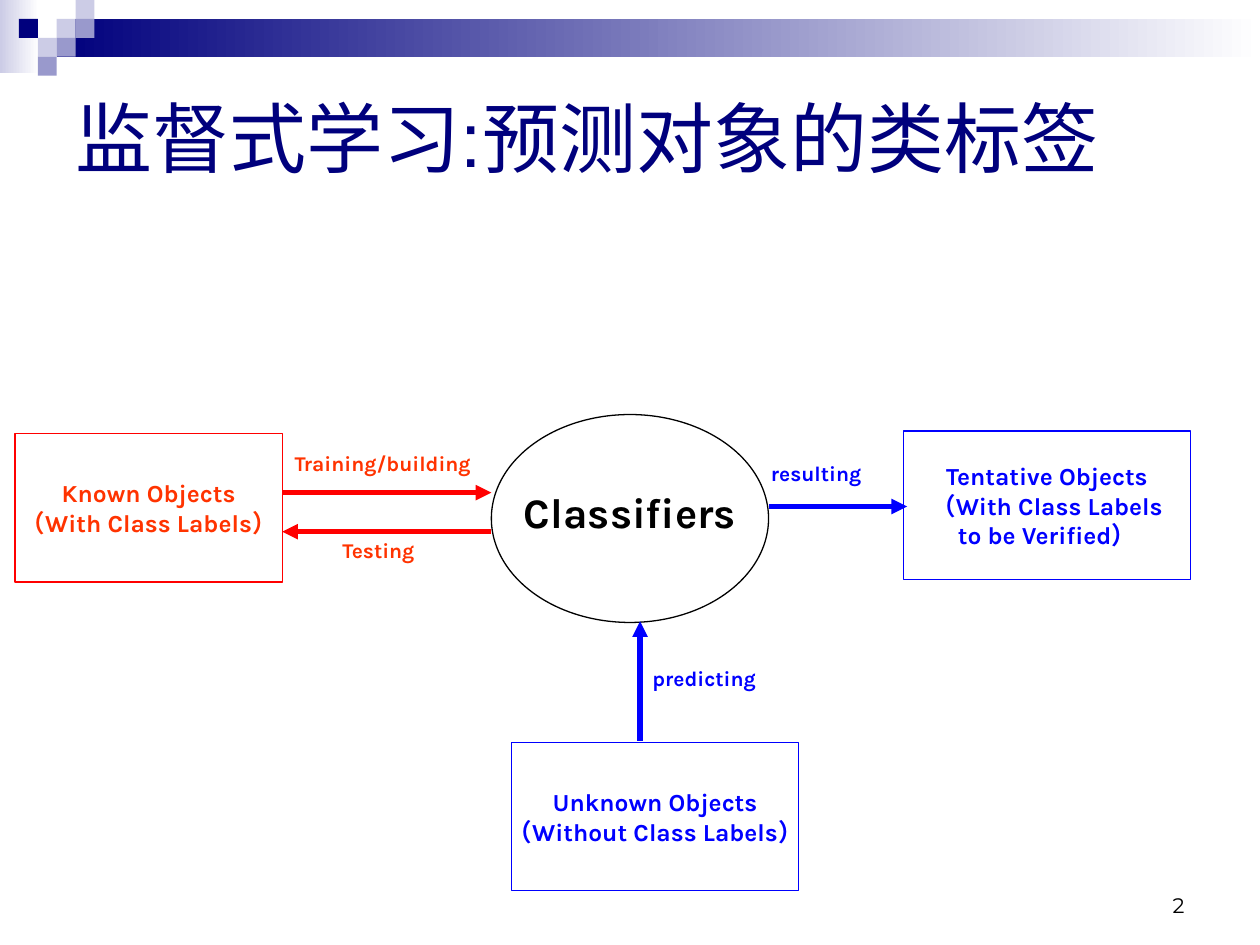
from typing import NamedTuple

from lxml.etree import SubElement
from pptx import Presentation
from pptx.dml.color import RGBColor
from pptx.enum.shapes import MSO_CONNECTOR, MSO_SHAPE
from pptx.enum.text import MSO_ANCHOR, PP_ALIGN
from pptx.oxml.ns import qn
from pptx.util import Inches, Pt

NAVY = RGBColor(0x00, 0x00, 0x7D)
PERIWINKLE = RGBColor(0x99, 0x99, 0xCC)
LAVENDER = RGBColor(0xCC, 0xCC, 0xE6)
WHITE = RGBColor(0xFF, 0xFF, 0xFF)
BLACK = RGBColor(0x00, 0x00, 0x00)
RED = RGBColor(0xFF, 0x00, 0x00)
ORANGE = RGBColor(0xFF, 0x33, 0x00)
BLUE = RGBColor(0x00, 0x00, 0xFF)

TILE = 0.15


class Area(NamedTuple):
    left: float
    top: float
    width: float
    height: float


class Style(NamedTuple):
    size: float
    color: RGBColor
    font: str = "Karla"
    bold: bool = True


class Node(NamedTuple):
    area: Area
    lines: list[str]
    outline: RGBColor
    color: RGBColor


class Label(NamedTuple):
    area: Area
    text: str
    style: Style


class Arrow(NamedTuple):
    start: tuple[float, float]
    end: tuple[float, float]
    color: RGBColor


BANDS = [
    (Area(0, 0, 0.31, 0.58), LAVENDER),
    (Area(0.45, 0.15, 9.55, 0.3), NAVY),
]
# Column and row of each tile in the corner mosaic
TILES = [
    (3, 1, LAVENDER), (4, 0, LAVENDER), (4, 1, PERIWINKLE), (2, 2, LAVENDER),
    (1, 1, NAVY), (3, 2, PERIWINKLE), (2, 3, PERIWINKLE),
]
NODES = [
    Node(Area(0.12, 3.44, 2.12, 1.18),
         ["Known Objects", "（With Class Labels）"], RED, ORANGE),
    Node(Area(4.06, 5.89, 2.28, 1.18),
         ["Unknown Objects", "（Without Class Labels）"], BLUE, BLUE),
    Node(Area(7.17, 3.42, 2.28, 1.18),
         ["Tentative Objects", "（With Class Labels", "to be Verified）"], BLUE, BLUE),
]
ARROWS = [
    Arrow((2.24, 3.91), (3.9, 3.91), RED),
    Arrow((3.9, 4.22), (2.24, 4.22), RED),
    Arrow((5.08, 5.88), (5.08, 4.93), BLUE),
    Arrow((6.1, 4.02), (7.2, 4.02), BLUE),
]
LABELS = [
    Label(Area(4.06, 3.81, 1.89, 0.5), "Classifiers", Style(24, BLACK)),
    Label(Area(2.24, 3.53, 1.6, 0.3), "Training/building", Style(12, ORANGE)),
    Label(Area(2.62, 4.22, 0.8, 0.3), "Testing", Style(12, ORANGE)),
    Label(Area(6.02, 3.61, 0.95, 0.3), "resulting", Style(12, BLUE)),
    Label(Area(5.08, 5.23, 1.06, 0.3), "predicting", Style(12, BLUE)),
]


def inches(area: Area) -> list[Inches]:
    return [Inches(value) for value in area]


def write(frame, lines: list[str], style: Style, align=PP_ALIGN.LEFT,
          anchor=MSO_ANCHOR.TOP, wrap: bool = False) -> None:
    frame.word_wrap = wrap
    frame.vertical_anchor = anchor
    for index, line in enumerate(lines):
        para = frame.add_paragraph() if index else frame.paragraphs[0]
        para.alignment = align
        span = para.add_run()
        span.text = line
        span.font.size = Pt(style.size)
        span.font.bold = style.bold
        span.font.name = style.font
        span.font.color.rgb = style.color


def add_text(page, area: Area, text: str, style: Style, **layout) -> None:
    box = page.shapes.add_textbox(*inches(area))
    write(box.text_frame, [text], style, **layout)


def add_plain(page, kind, area: Area):
    """Add a preset shape without shadow, fill or line."""
    shape = page.shapes.add_shape(kind, *inches(area))
    shape.shadow.inherit = False
    shape.fill.background()
    shape.line.fill.background()
    return shape


def add_band(page, area: Area, color: RGBColor) -> None:
    """Add a strip that fades to white from left to right."""
    band = add_plain(page, MSO_SHAPE.RECTANGLE, area)
    band.fill.gradient()
    band.fill.gradient_angle = 0
    for stop, shade in zip(band.fill.gradient_stops, (color, WHITE)):
        stop.color.rgb = shade


def add_tile(page, column: int, row: int, color: RGBColor) -> None:
    area = Area(column * TILE, row * TILE, TILE, TILE)
    tile = add_plain(page, MSO_SHAPE.RECTANGLE, area)
    tile.fill.solid()
    tile.fill.fore_color.rgb = color


def add_outline(page, kind, area: Area, color: RGBColor):
    shape = add_plain(page, kind, area)
    shape.line.color.rgb = color
    shape.line.width = Pt(0.75)
    return shape


def add_node(page, node: Node) -> None:
    box = add_outline(page, MSO_SHAPE.RECTANGLE, node.area, node.outline)
    write(box.text_frame, node.lines, Style(14, node.color),
          align=PP_ALIGN.CENTER, anchor=MSO_ANCHOR.MIDDLE)


def add_arrow(page, arrow: Arrow) -> None:
    ends = [Inches(value) for value in (*arrow.start, *arrow.end)]
    connector = page.shapes.add_connector(MSO_CONNECTOR.STRAIGHT, *ends)
    connector.line.color.rgb = arrow.color
    connector.line.width = Pt(3)
    SubElement(connector.line._get_or_add_ln(), qn("a:tailEnd"), type="triangle")
    SubElement(connector._element.spPr, qn("a:effectLst"))


def main() -> None:
    deck = Presentation()
    deck.slide_width, deck.slide_height = Inches(10), Inches(7.5)
    page = deck.slides.add_slide(deck.slide_layouts[6])

    for area, color in BANDS:
        add_band(page, area, color)
    for column, row, color in TILES:
        add_tile(page, column, row, color)

    add_text(page, Area(0.5, 0.5, 9, 1.17), "监督式学习:预测对象的类标签",
             Style(44, NAVY, "Arial", False), anchor=MSO_ANCHOR.MIDDLE, wrap=True)
    add_text(page, Area(7.17, 6.83, 2.33, 0.5), "2",
             Style(12, BLACK, "Montserrat", False),
             align=PP_ALIGN.RIGHT, anchor=MSO_ANCHOR.BOTTOM, wrap=True)

    add_outline(page, MSO_SHAPE.OVAL, Area(3.9, 3.29, 2.2, 1.65), BLACK)
    for node in NODES:
        add_node(page, node)
    for arrow in ARROWS:
        add_arrow(page, arrow)
    for label in LABELS:
        add_text(page, label.area, label.text, label.style)

    deck.save("out.pptx")


if __name__ == "__main__":
    main()
